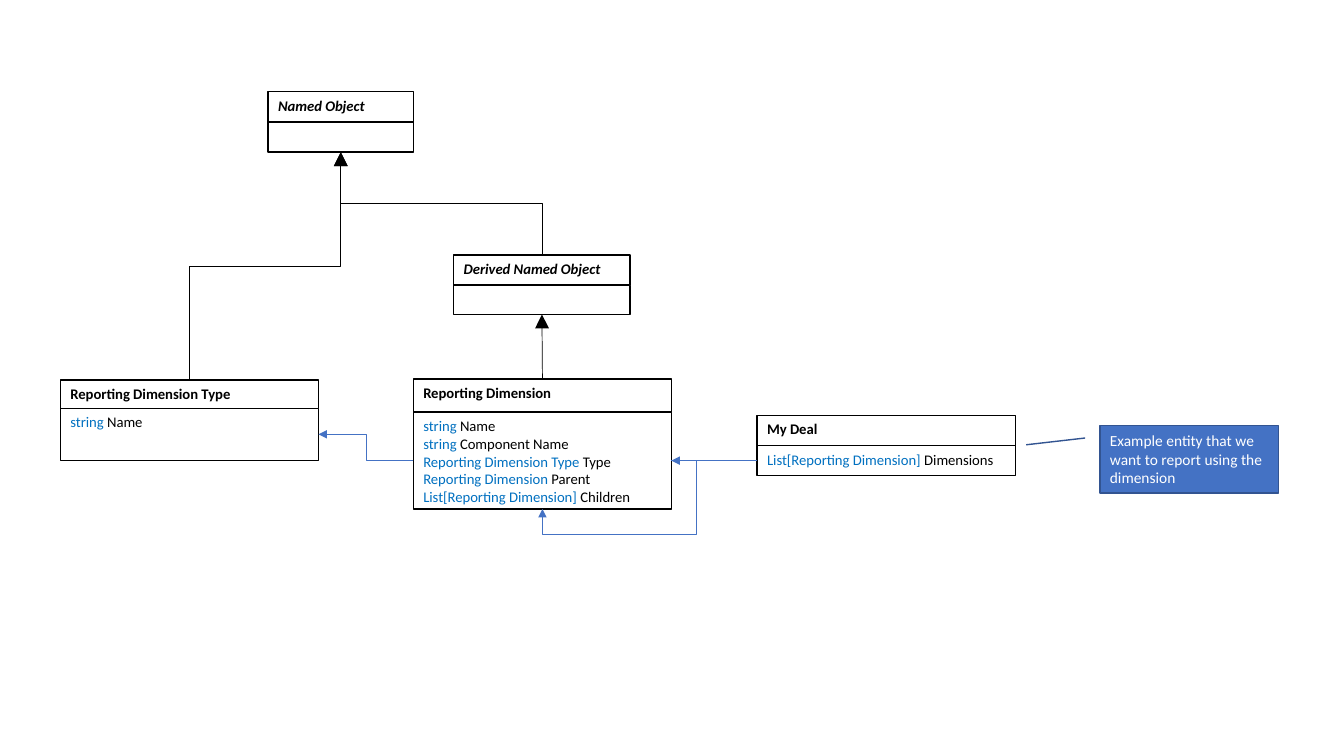
import pptx
import pptx.util
import pptx.dml.color
import pptx.enum.shapes
import pptx.enum.text
import pptx.oxml.ns
from lxml import etree

Inches = pptx.util.Inches
Pt = pptx.util.Pt
BLACK, WHITE, TYPE_BLUE, BLUE, DARK_BLUE = "000000", "FFFFFF", "0070C0", "4472C4", "325491"
TOP, LEFT, BOTTOM, RIGHT = range(4)

CLASSES = {
    "My Deal": dict(at=(7.51, 4.12), width=2.56, heights=(0.3, 0.3), abstract=False,
                    fields=[("List[Reporting Dimension]", " Dimensions")]),
    "Reporting Dimension": dict(at=(4.1, 3.76), width=2.56, heights=(0.33, 0.96), abstract=False,
                                fields=[("string", " Name"),
                                        ("string", " Component Name"),
                                        ("Reporting Dimension Type", " Type"),
                                        ("Reporting Dimension ", "Parent"),
                                        ("List[Reporting Dimension] ", "Children")]),
    "Reporting Dimension Type": dict(at=(0.6, 3.77), width=2.56, heights=(0.28, 0.52), abstract=False,
                                     fields=[("string", " Name")]),
    "Named Object": dict(at=(2.66, 0.91), width=1.44, heights=(0.3, 0.3), abstract=True, fields=[]),
    "Derived Named Object": dict(at=(4.5, 2.53), width=1.75, heights=(0.3, 0.29), abstract=True, fields=[]),
}
INHERITANCE = [
    ("Named Object", "Reporting Dimension Type"),
    ("Derived Named Object", "Reporting Dimension"),
    ("Named Object", "Derived Named Object"),
]
REFERENCES = [
    ("My Deal", LEFT, "Reporting Dimension", RIGHT, "straight"),
    ("Reporting Dimension", RIGHT, "Reporting Dimension", BOTTOM, "loop"),
    ("Reporting Dimension", LEFT, "Reporting Dimension Type", RIGHT, "elbow"),
]
LOOP_ADJUST = (-19600, 152000)
CALLOUT = "Example entity that we want to report using the dimension"
CALLOUT_AT = (10.91, 4.22, 1.77, 0.67)
CALLOUT_ADJUST = (0.188, -0.083, 0.288, -0.414)


def rgb(color):
    return pptx.dml.color.RGBColor.from_string(color)


def add_box(shapes, kind, at, fill, line):
    sp = shapes.add_shape(kind, *map(Inches, at))
    sp.shadow.inherit = False
    sp.fill.solid()
    sp.fill.fore_color.rgb = rgb(fill)
    sp.line.color.rgb = rgb(line)
    sp.line.width = Pt(1)
    tf = sp.text_frame
    tf.word_wrap = True
    tf.vertical_anchor = pptx.enum.text.MSO_ANCHOR.TOP
    return sp


def write(p, parts, size, bold=False, italic=False):
    p.alignment = pptx.enum.text.PP_ALIGN.LEFT
    for text, color in parts:
        r = p.add_run()
        r.text = text
        r.font.name = "Calibri"
        r.font.size = Pt(size)
        r.font.bold = bold
        r.font.italic = italic
        r.font.color.rgb = rgb(color)


def add_class(s, name, at, width, heights, abstract, fields):
    group = s.shapes.add_group_shape()
    rect = pptx.enum.shapes.MSO_SHAPE.RECTANGLE
    x, y = at
    head = add_box(group.shapes, rect, (x, y, width, heights[0]), WHITE, BLACK)
    body = add_box(group.shapes, rect, (x, y + heights[0], width, heights[1]), WHITE, BLACK)
    write(head.text_frame.paragraphs[0], [(name, BLACK)], 10.5, True, abstract)
    tf = body.text_frame
    tf.margin_bottom = 0
    for i, (kind, field) in enumerate(fields):
        p = tf.add_paragraph() if i else tf.paragraphs[0]
        write(p, [(kind, TYPE_BLUE), (field, BLACK)], 10.5)
    return head, body


def add_link(s, kind, start, start_side, end, end_side, color, arrow_tag, arrow_size):
    cx = s.shapes.add_connector(kind, 0, 0, 0, 0)
    cx.begin_connect(start, start_side)
    cx.end_connect(end, end_side)
    cx.line.color.rgb = rgb(color)
    cx.line.width = Pt(0.5)
    ln = cx.line._get_or_add_ln()
    etree.SubElement(ln, pptx.oxml.ns.qn(arrow_tag), type="triangle", w=arrow_size, len=arrow_size)
    etree.SubElement(cx._element.spPr, pptx.oxml.ns.qn("a:effectLst"))
    return cx


def turn_downward(cx):
    x1, y1, x2, y2 = cx.begin_x, cx.begin_y, cx.end_x, cx.end_y
    width, height = abs(y2 - y1), abs(x2 - x1)
    xfrm = cx._element.spPr.find(pptx.oxml.ns.qn("a:xfrm"))
    for flip in ("flipH", "flipV"):
        xfrm.attrib.pop(flip, None)
    xfrm.set("rot", "5400000")
    if x2 > x1:
        xfrm.set("flipV", "1")
    cx.left, cx.top = (x1 + x2 - width) // 2, (y1 + y2 - height) // 2
    cx.width, cx.height = width, height


def make_loop(cx):
    geom = cx._element.spPr.find(pptx.oxml.ns.qn("a:prstGeom"))
    geom.set("prst", "bentConnector4")
    guides = geom.find(pptx.oxml.ns.qn("a:avLst"))
    for i, value in enumerate(LOOP_ADJUST, 1):
        etree.SubElement(guides, pptx.oxml.ns.qn("a:gd"), name=f"adj{i}", fmla=f"val {value}")


def main():
    prs = pptx.Presentation()
    prs.slide_width, prs.slide_height = Inches(13.33), Inches(7.5)
    s = prs.slides.add_slide(prs.slide_layouts[6])
    connector = pptx.enum.shapes.MSO_CONNECTOR

    boxes = {name: add_class(s, name, **parts) for name, parts in CLASSES.items()}

    sp = add_box(s.shapes, pptx.enum.shapes.MSO_SHAPE.LINE_CALLOUT_1, CALLOUT_AT, BLUE, DARK_BLUE)
    for i, value in enumerate(CALLOUT_ADJUST):
        sp.adjustments[i] = value
    sp.text_frame.vertical_anchor = pptx.enum.text.MSO_ANCHOR.MIDDLE
    write(sp.text_frame.paragraphs[0], [(CALLOUT, WHITE)], 11)

    for source, source_side, target, target_side, route in REFERENCES:
        kind = connector.STRAIGHT if route == "straight" else connector.ELBOW
        cx = add_link(s, kind, boxes[source][1], source_side, boxes[target][1], target_side,
                      BLUE, "a:tailEnd", "med")
        if route == "loop":
            make_loop(cx)

    for parent, child in INHERITANCE:
        body, head = boxes[parent][1], boxes[child][0]
        aligned = abs(body.left + body.width // 2 - head.left - head.width // 2) < Inches(0.05)
        kind = connector.STRAIGHT if aligned else connector.ELBOW
        cx = add_link(s, kind, body, BOTTOM, head, TOP, BLACK, "a:headEnd", "lg")
        if not aligned:
            turn_downward(cx)

    prs.save("out.pptx")


if __name__ == "__main__":
    main()
